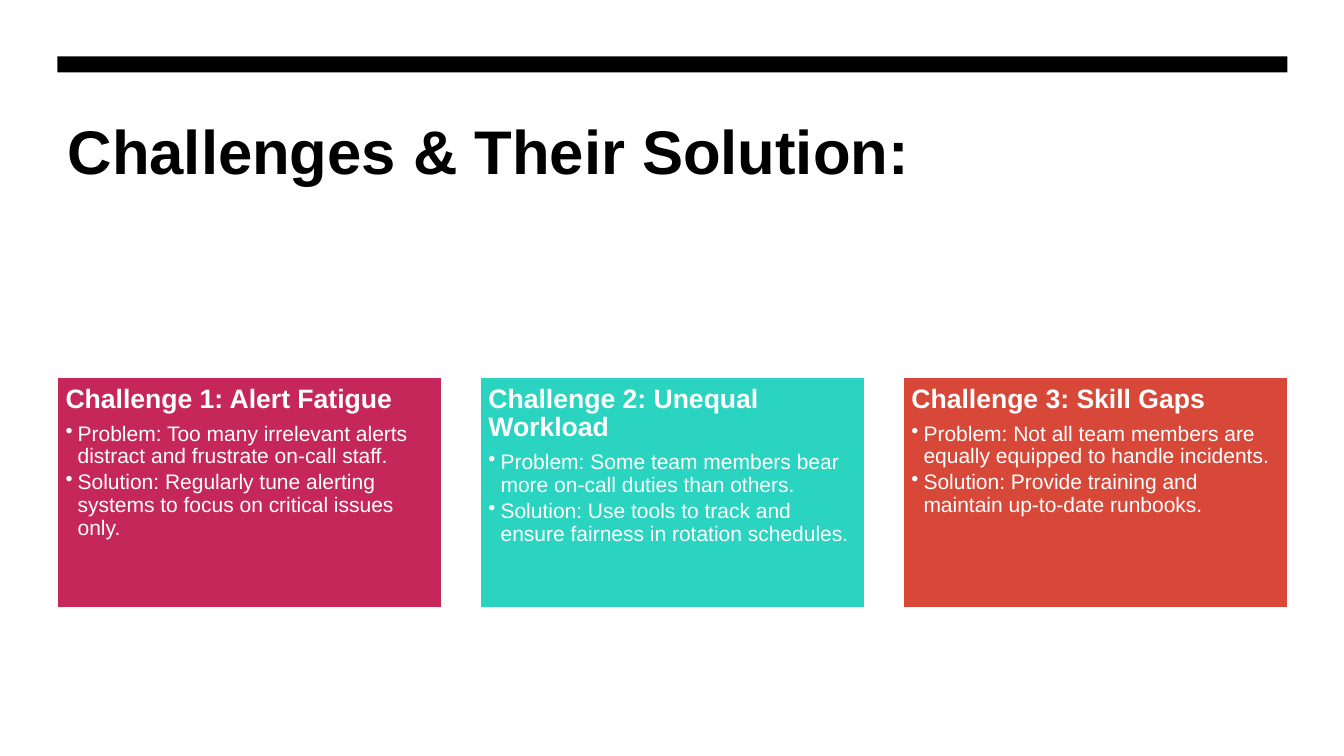
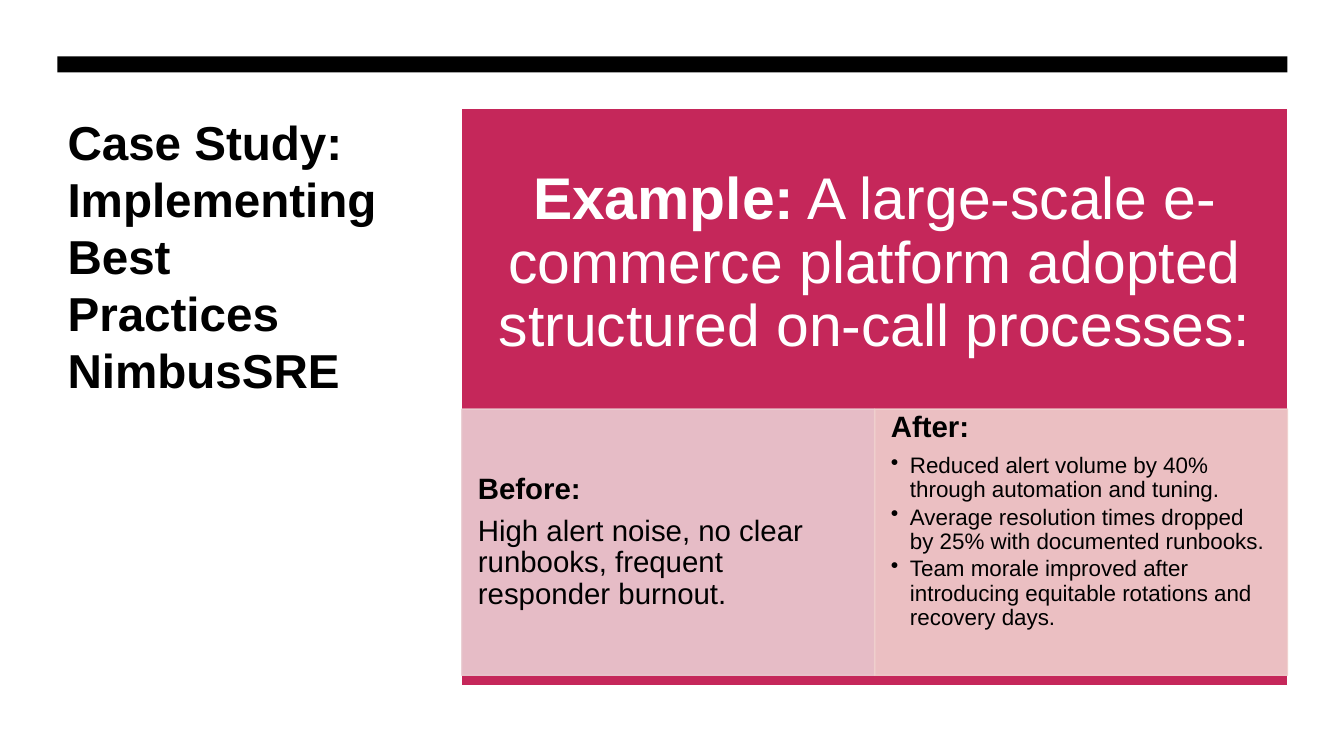
from lxml import etree
from pptx import Presentation
from pptx.dml.color import RGBColor
from pptx.enum.shapes import MSO_SHAPE
from pptx.enum.text import MSO_ANCHOR, MSO_AUTO_SIZE, PP_ALIGN
from pptx.oxml.ns import qn
from pptx.util import Inches, Pt

RECTANGLE = MSO_SHAPE.RECTANGLE
TOP, MIDDLE = MSO_ANCHOR.TOP, MSO_ANCHOR.MIDDLE
LEFT, CENTER = PP_ALIGN.LEFT, PP_ALIGN.CENTER
NO_AUTOFIT = MSO_AUTO_SIZE.NONE

FONT = "Arial"
BLACK, WHITE = "000000", "FFFFFF"
CRIMSON, TEAL, RED = "C5275A", "2AD4C0", "D74839"
PALE_CRIMSON, PALE_RED = "EACDD2", "F0D0CE"
MARGIN, CONTENT_WIDTH, TITLE_TOP = 0.57, 12.2, 1.07

color = RGBColor.from_string


def add_panel(slide, left, top, width, height, fill, line, opacity=100):
    panel = slide.shapes.add_shape(
        RECTANGLE, Inches(left), Inches(top), Inches(width), Inches(height))
    panel.shadow.inherit = False
    panel.fill.solid()
    panel.fill.fore_color.rgb = color(fill)
    panel.line.color.rgb = color(line)
    panel.line.width = Pt(1)
    if opacity < 100:
        for tone in panel._element.spPr.iter(qn("a:srgbClr")):
            etree.SubElement(tone, qn("a:alpha"), val=str(opacity * 1000))
    return panel


def write_text(shape, paragraphs, ink, insets, anchor=TOP, align=LEFT, spacing=0.9):
    frame = shape.text_frame
    frame.word_wrap = True
    frame.auto_size = NO_AUTOFIT
    frame.vertical_anchor = anchor
    (frame.margin_left, frame.margin_top,
     frame.margin_right, frame.margin_bottom) = map(Inches, insets)
    for index, (runs, size, indent) in enumerate(paragraphs):
        paragraph = frame.add_paragraph() if index else frame.paragraphs[0]
        paragraph.alignment = align
        paragraph.line_spacing = spacing
        paragraph.space_after = Pt(round(size * (0.15 if indent else 0.35), 1))
        if indent:
            paragraph.level = 1
            properties = paragraph._p.get_or_add_pPr()
            properties.set("marL", str(Inches(indent)))
            properties.set("indent", str(-Inches(indent)))
            etree.SubElement(properties, qn("a:buChar"), char="•")
        for text, bold in runs:
            if text == "\n":
                paragraph.add_line_break()
                continue
            run = paragraph.add_run()
            run.text = text
            run.font.name = FONT
            run.font.size = Pt(size)
            run.font.bold = bold
            run.font.color.rgb = color(ink)


presentation = Presentation()
presentation.slide_width = Inches(13.33)
presentation.slide_height = Inches(7.5)
title_only = presentation.slide_layouts[5]

titles = [
    (["Challenges & Their Solution:"], 44, CONTENT_WIDTH, 1.6),
    (["Case Study: Implementing Best Practices", "\n", "NimbusSRE"], 34, 3.45, 4.45),
]
slides = []
for parts, size, width, height in titles:
    slide = presentation.slides.add_slide(title_only)
    title = slide.shapes.title
    title.left, title.top = Inches(MARGIN), Inches(TITLE_TOP)
    title.width, title.height = Inches(width), Inches(height)
    write_text(title, [([(part, True) for part in parts], size, 0)], BLACK,
               (0.1, 0.05, 0.1, 0.05), spacing=1.0)
    bar = add_panel(slide, MARGIN, 0.56, CONTENT_WIDTH, 0.16, BLACK, BLACK)
    bar.line.fill.background()
    slides.append(slide)
challenges_slide, case_slide = slides

challenges = [
    (CRIMSON, "Challenge 1: Alert Fatigue",
     "Problem: Too many irrelevant alerts distract and frustrate on-call staff.",
     "Solution: Regularly tune alerting systems to focus on critical issues only."),
    (TEAL, "Challenge 2: Unequal Workload",
     "Problem: Some team members bear more on-call duties than others.",
     "Solution: Use tools to track and ensure fairness in rotation schedules."),
    (RED, "Challenge 3: Skill Gaps",
     "Problem: Not all team members are equally equipped to handle incidents.",
     "Solution: Provide training and maintain up-to-date runbooks."),
]
card_width = 3.81
card_step = (CONTENT_WIDTH - card_width) / (len(challenges) - 1)
for column, (fill, heading, *points) in enumerate(challenges):
    card = add_panel(challenges_slide, MARGIN + column * card_step, 3.74,
                     card_width, 2.29, fill, WHITE)
    write_text(card,
               [([(heading, True)], 19, 0)]
               + [([(point, False)], 15, 0.12) for point in points],
               WHITE, (0.08, 0.08, 0.08, 0.08))

case_left, case_width, case_height, example_height = 4.58, 8.19, 5.73, 3.1
example = add_panel(case_slide, case_left, TITLE_TOP, case_width, case_height,
                    CRIMSON, WHITE)
write_text(example,
           [([("Example:", True),
              (" A large-scale e-commerce platform adopted structured on-call processes:",
               False)], 42, 0)],
           WHITE, (0.33, 0.33, 0.33, 0.33 + case_height - example_height),
           MIDDLE, CENTER)

outcomes = [
    (PALE_CRIMSON, MIDDLE, "Before:", 21, 0,
     ["High alert noise, no clear runbooks, frequent responder burnout."]),
    (PALE_RED, TOP, "After:", 16, 0.19,
     ["Reduced alert volume by 40% through automation and tuning.",
      "Average resolution times dropped by 25% with documented runbooks.",
      "Team morale improved after introducing equitable rotations and recovery days."]),
]
outcome_width = case_width / len(outcomes)
for column, (fill, anchor, heading, size, indent, points) in enumerate(outcomes):
    outcome = add_panel(case_slide, case_left + column * outcome_width, 4.06,
                        outcome_width, 2.64, fill, fill, opacity=90)
    write_text(outcome,
               [([(heading, True)], 21, 0)]
               + [([(point, False)], size, indent) for point in points],
               BLACK, (0.16, 0.03, 0.16, 0.03), anchor)

presentation.save("out.pptx")
